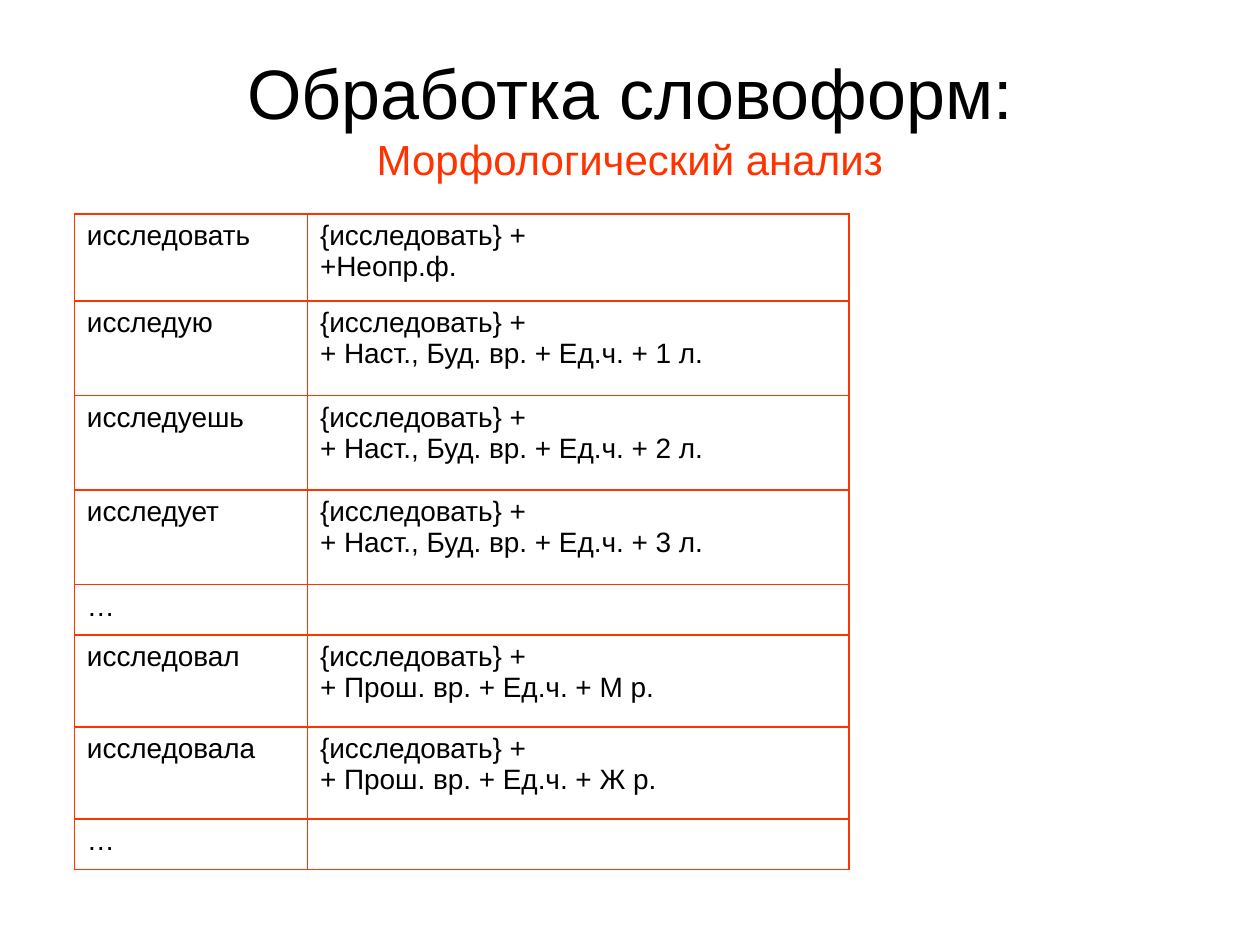
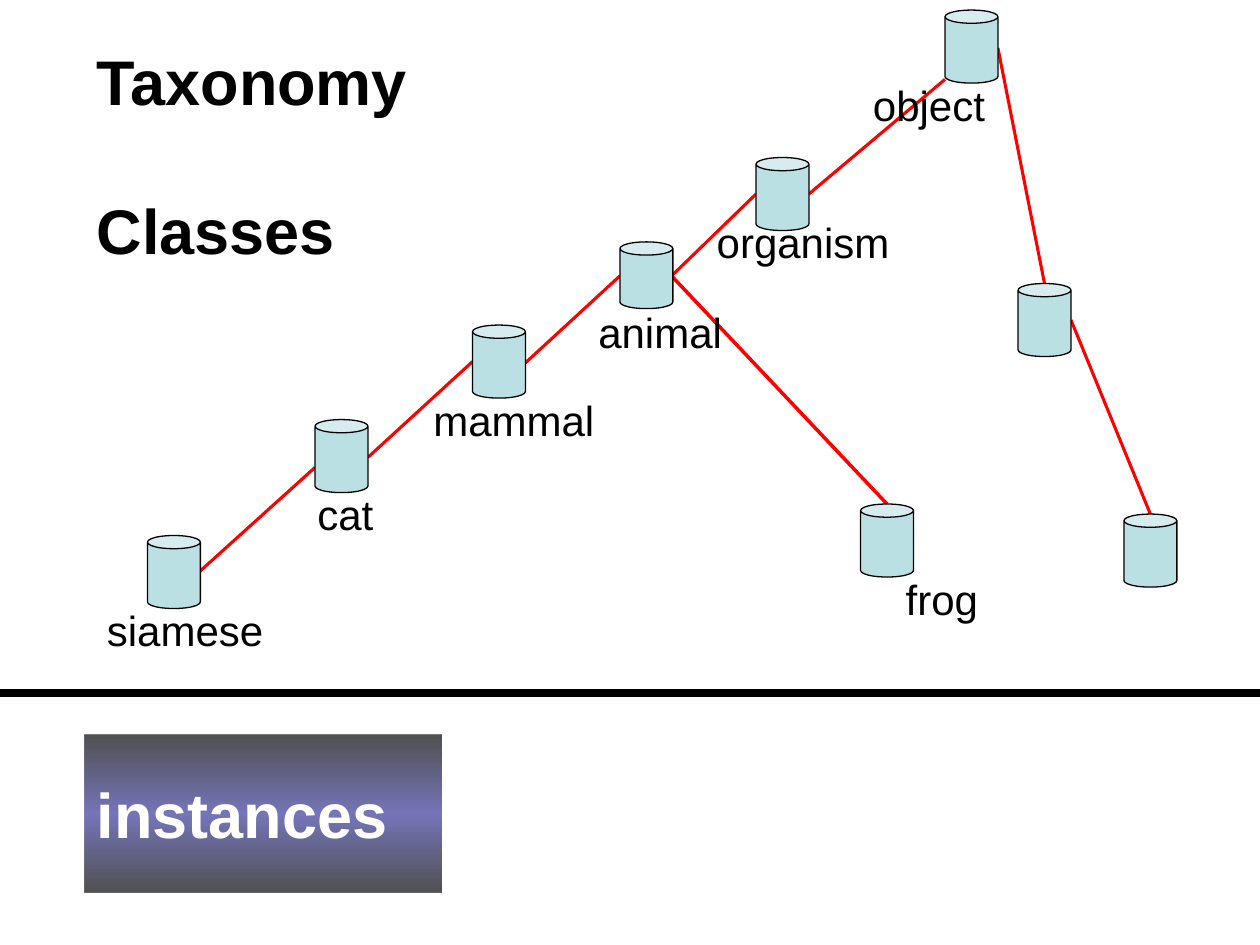
from dataclasses import dataclass

from lxml.etree import SubElement
from pptx import Presentation
from pptx.dml.color import RGBColor
from pptx.enum.shapes import MSO_CONNECTOR as Connector, MSO_SHAPE as Preset
from pptx.enum.text import MSO_ANCHOR as Anchor, MSO_AUTO_SIZE as AutoSize, PP_ALIGN as Align
from pptx.oxml.ns import qn
from pptx.slide import Slide
from pptx.text.text import TextFrame
from pptx.util import Inches, Pt

FONT = "Arial"
COLORS = {
    "text": "000000",
    "accent": "FF3300",
    "can": "BBE0E3",
    "edge": "FF0000",
    "band": "333399",
    "light": "FFFFFF",
}
CAN_WIDTH, CAN_HEIGHT = 0.42, 0.58
LABEL_HEIGHT = 0.5


@dataclass(frozen=True)
class TextStyle:
    size: float
    color: str = "text"
    bold: bool = False
    align: Align = Align.LEFT
    space_before: float = 0


@dataclass(frozen=True)
class Can:
    left: float
    top: float
    height: float = CAN_HEIGHT


@dataclass(frozen=True)
class Label:
    text: str
    left: float
    top: float
    width: float
    wrap: bool = False


@dataclass(frozen=True)
class Line:
    start: tuple[float, float]
    end: tuple[float, float]
    color: str = "edge"
    width: float = 1.75


HEADING = TextStyle(36, bold=True)
LABEL = TextStyle(24)
CELL = TextStyle(16)

LEMMA = "{исследовать} +"
WORD_FORMS = [
    ("исследовать", "+Неопр.ф.", 0.69),
    ("исследую", "+ Наст., Буд. вр. + Ед.ч. + 1 л.", 0.75),
    ("исследуешь", "+ Наст., Буд. вр. + Ед.ч. + 2 л.", 0.75),
    ("исследует", "+ Наст., Буд. вр. + Ед.ч. + 3 л.", 0.75),
    ("…", "", 0.4),
    ("исследовал", "+ Прош. вр. + Ед.ч. + М р.", 0.73),
    ("исследовала", "+ Прош. вр. + Ед.ч. + Ж р.", 0.73),
    ("…", "", 0.4),
]
COLUMN_WIDTHS = (1.85, 4.3)

CANS = [
    Can(1.17, 4.25),
    Can(2.5, 3.33),
    Can(3.75, 2.58),
    Can(4.92, 1.92, 0.53),
    Can(6, 1.25),
    Can(7.5, 0.08),
    Can(8.08, 2.25),
    Can(6.83, 4),
    Can(8.92, 4.08),
]
LABELS = [
    Label("siamese", 0.75, 4.75, 1.44),
    Label("cat", 2.42, 3.83, 0.83, wrap=True),
    Label("mammal", 3.34, 3.08, 1.48),
    Label("animal", 4.65, 2.38, 1.18),
    Label("organism", 5.59, 1.67, 1.57),
    Label("object", 6.83, 0.58, 1.75, wrap=True),
    Label("frog", 7.09, 4.5, 0.8),
]
LINES = [
    Line((1.58, 4.54), (2.5, 3.71)),
    Line((2.92, 3.63), (3.75, 2.87)),
    Line((4.17, 2.88), (4.92, 2.19)),
    Line((5.33, 2.19), (6, 1.54)),
    Line((6.42, 1.54), (7.5, 0.63)),
    Line((7.92, 0.38), (8.29, 2.25)),
    Line((8.5, 2.54), (9.13, 4.08)),
    Line((5.33, 2.19), (7.04, 4), width=2),
    Line((0, 5.5), (10, 5.5), "text", 4.5),
]


def rgb(name: str) -> RGBColor:
    return RGBColor.from_string(COLORS[name])


def write(text_frame: TextFrame, lines: list[str], styles: list[TextStyle]) -> None:
    """Put each line in a paragraph with the style at the same place."""
    text_frame.text = "\n".join(lines)
    for paragraph, style in zip(text_frame.paragraphs, styles):
        paragraph.alignment = style.align
        paragraph.space_before = Pt(style.space_before)
        for run in paragraph.runs:
            run.font.name = FONT
            run.font.size = Pt(style.size)
            run.font.bold = style.bold
            run.font.color.rgb = rgb(style.color)


def add_text(slide: Slide, box: tuple[float, ...], lines: list[str],
             styles: list[TextStyle], anchor: Anchor = Anchor.TOP,
             wrap: bool = True) -> TextFrame:
    text_frame = slide.shapes.add_textbox(*map(Inches, box)).text_frame
    text_frame.word_wrap = wrap
    text_frame.vertical_anchor = anchor
    write(text_frame, lines, styles)
    return text_frame


def add_label(slide: Slide, label: Label) -> None:
    text_frame = add_text(slide, (label.left, label.top, label.width, LABEL_HEIGHT),
                          [label.text], [LABEL], wrap=label.wrap)
    text_frame.auto_size = AutoSize.SHAPE_TO_FIT_TEXT


def add_line(slide: Slide, line: Line) -> None:
    connector = slide.shapes.add_connector(
        Connector.STRAIGHT, *map(Inches, line.start + line.end))
    connector.line.color.rgb = rgb(line.color)
    connector.line.width = Pt(line.width)
    SubElement(connector._element.spPr, qn("a:effectLst"))


def add_can(slide: Slide, can: Can) -> None:
    shape = slide.shapes.add_shape(
        Preset.CAN, Inches(can.left), Inches(can.top),
        Inches(CAN_WIDTH), Inches(can.height))
    shape.shadow.inherit = False
    shape.fill.solid()
    shape.fill.fore_color.rgb = rgb("can")
    shape.line.color.rgb = rgb("text")
    shape.line.width = Pt(0.75)


def set_borders(cell, color: str, width: float) -> None:
    properties = cell._tc.get_or_add_tcPr()
    for index, side in enumerate(("lnL", "lnR", "lnT", "lnB")):
        border = properties.makeelement(qn(f"a:{side}"), {"w": str(Pt(width))})
        properties.insert(index, border)
        fill = SubElement(border, qn("a:solidFill"))
        SubElement(fill, qn("a:srgbClr"), val=COLORS[color])


def add_word_form_table(slide: Slide) -> None:
    heights = [height for _, _, height in WORD_FORMS]
    table = slide.shapes.add_table(
        len(WORD_FORMS), len(COLUMN_WIDTHS), Inches(0.59), Inches(1.7),
        Inches(sum(COLUMN_WIDTHS)), Inches(sum(heights))).table
    table.first_row = table.horz_banding = False
    for column, width in zip(table.columns, COLUMN_WIDTHS):
        column.width = Inches(width)
    first_line = TextStyle(CELL.size, space_before=4)
    for row, (form, grammar, height) in zip(table.rows, WORD_FORMS):
        row.height = Inches(height)
        contents = ([form], [LEMMA, grammar] if grammar else [])
        for cell, lines in zip(row.cells, contents):
            cell.fill.background()
            set_borders(cell, "accent", 1.08)
            if lines:
                write(cell.text_frame, lines, [first_line, CELL])


def add_instances_band(slide: Slide) -> None:
    band = slide.shapes.add_shape(
        Preset.RECTANGLE, Inches(0.67), Inches(5.83), Inches(2.83), Inches(1.25))
    band.shadow.inherit = False
    band.line.fill.background()
    band.fill.gradient()
    band.fill.gradient_angle = 90
    stops = band._element.spPr.find(qn("a:gradFill")).find(qn("a:gsLst"))
    for stop in list(stops):
        stops.remove(stop)
    for position, color, opacity in ((0, "text", 68), (50, "band", 67), (100, "text", 68)):
        stop = SubElement(stops, qn("a:gs"), pos=str(position * 1000))
        fill = SubElement(stop, qn("a:srgbClr"), val=COLORS[color])
        SubElement(fill, qn("a:alpha"), val=str(opacity * 1000))
    band.text_frame.vertical_anchor = Anchor.MIDDLE
    write(band.text_frame, ["instances"], [TextStyle(36, "light", bold=True)])


def build_word_forms(slide: Slide) -> None:
    add_text(slide, (0.5, 0.3, 9, 1.25),
             ["Обработка словоформ:", "Морфологический анализ"],
             [TextStyle(40, align=Align.CENTER),
              TextStyle(24, "accent", align=Align.CENTER)], Anchor.MIDDLE)
    add_word_form_table(slide)


def build_taxonomy(slide: Slide) -> None:
    for line in LINES:
        add_line(slide, line)
    for can in CANS:
        add_can(slide, can)
    for label in LABELS:
        add_label(slide, label)
    add_text(slide, (0.67, 0.21, 3.08, 2.04), ["Taxonomy", "Classes"],
             [HEADING, TextStyle(36, bold=True, space_before=42)], Anchor.MIDDLE)
    add_instances_band(slide)


def main() -> None:
    presentation = Presentation()
    presentation.slide_width, presentation.slide_height = Inches(10), Inches(7.5)
    blank = presentation.slide_layouts[6]
    for build in (build_word_forms, build_taxonomy):
        build(presentation.slides.add_slide(blank))
    presentation.save("out.pptx")


if __name__ == "__main__":
    main()
